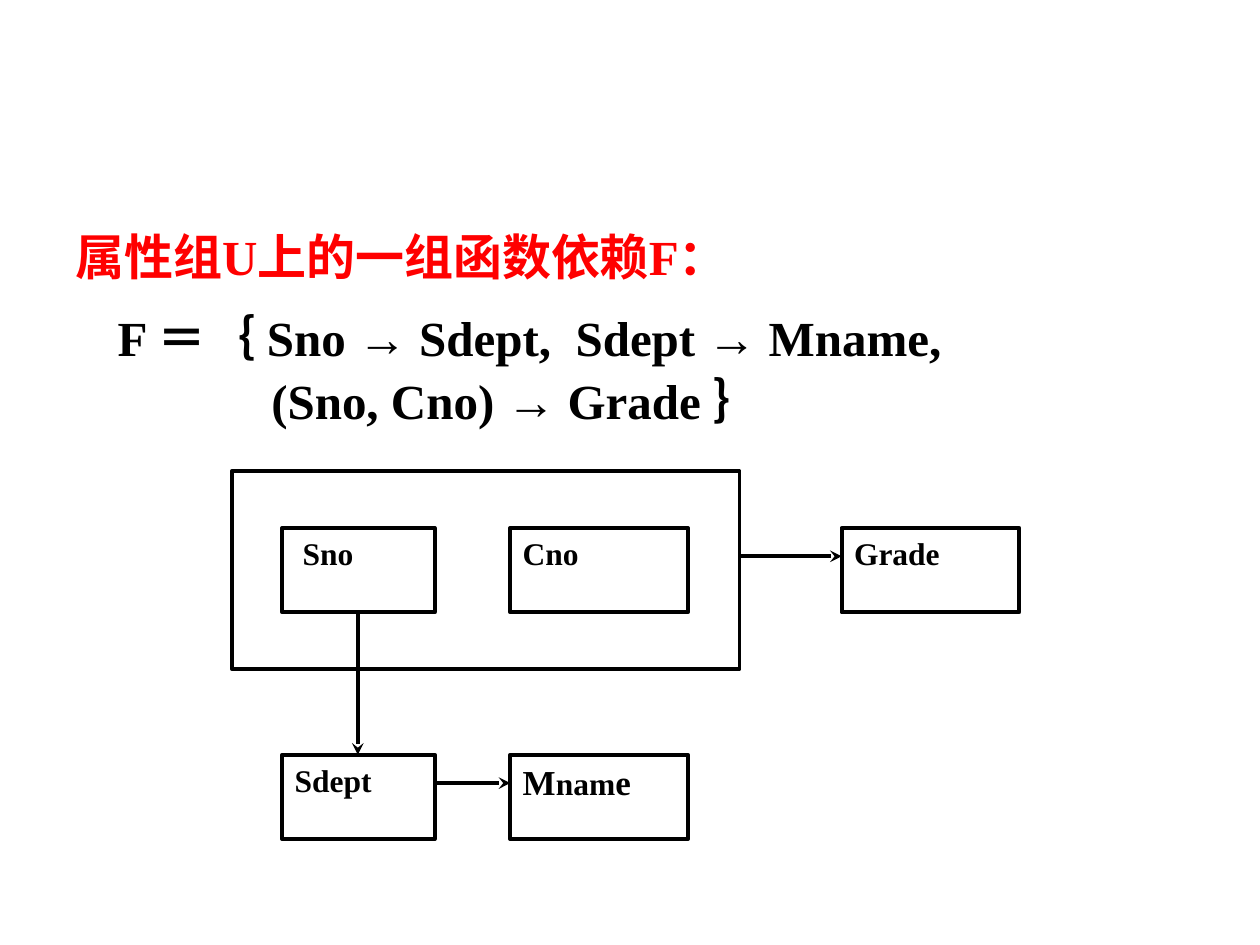
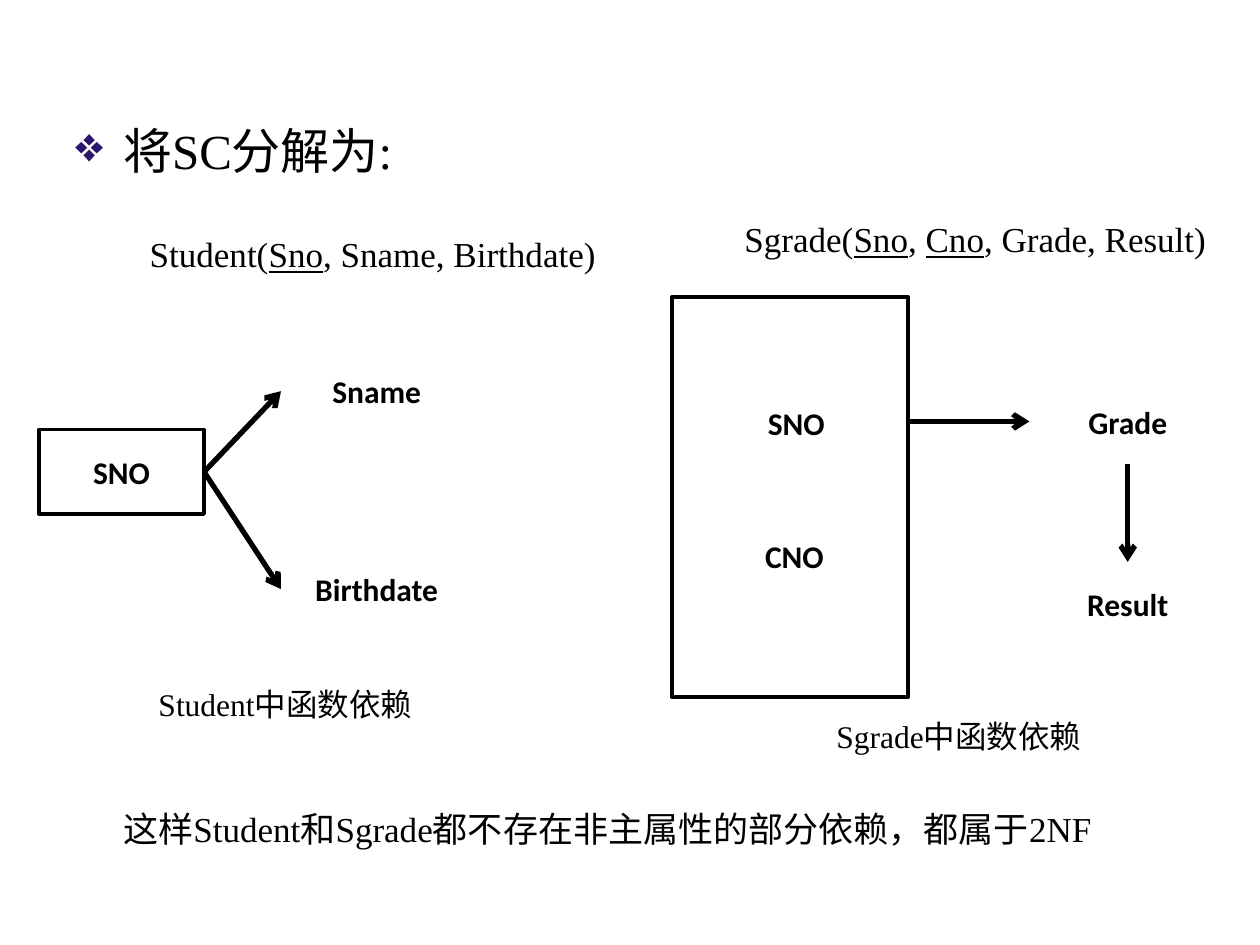
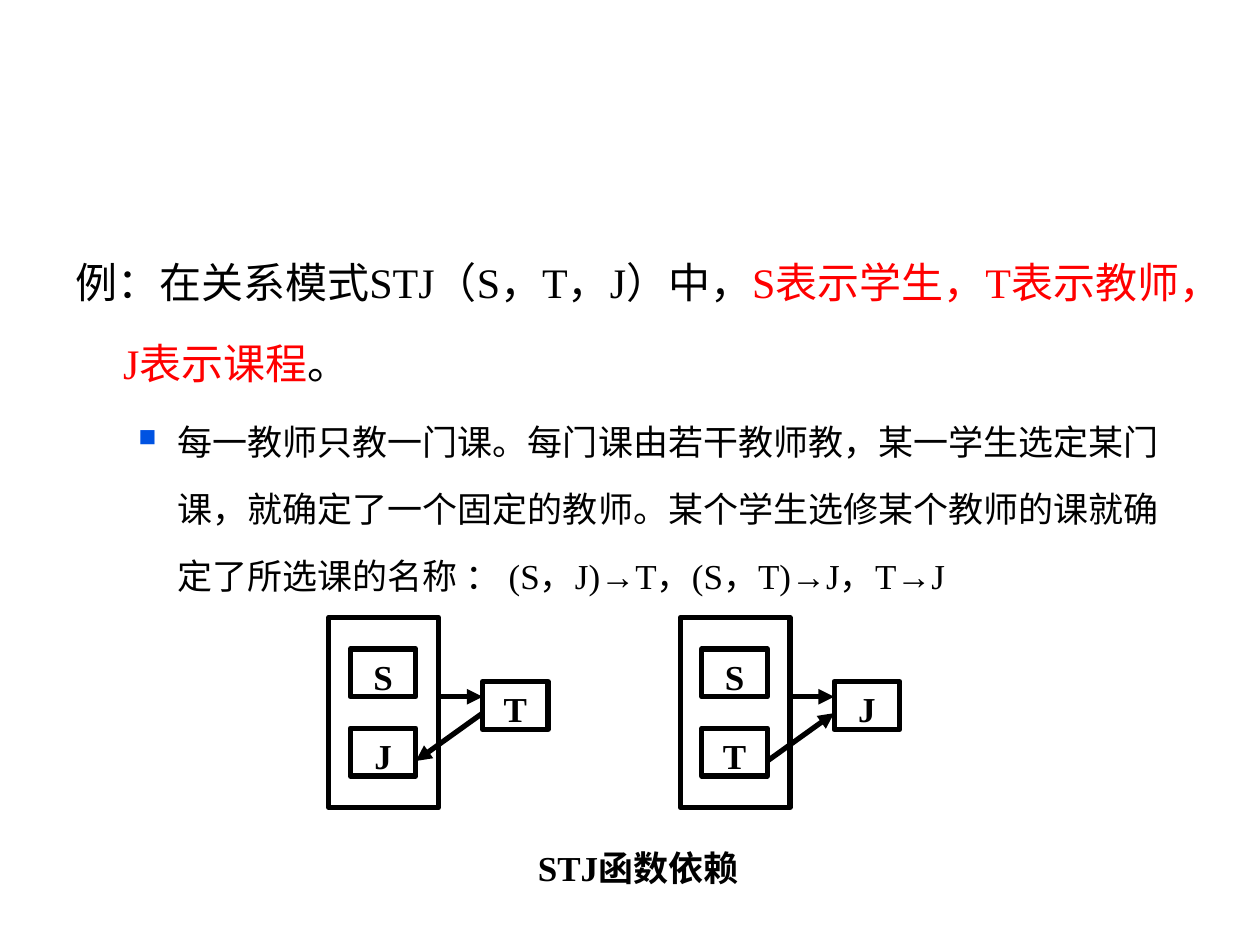
from dataclasses import dataclass

from lxml import etree
from pptx import Presentation
from pptx.dml.color import RGBColor
from pptx.enum.shapes import MSO_CONNECTOR as LINK, MSO_SHAPE as PRESET
from pptx.enum.text import MSO_ANCHOR as ANCHOR, PP_ALIGN as ALIGN
from pptx.oxml.ns import qn
from pptx.util import Inches, Pt

SLIDE_WIDTH, SLIDE_HEIGHT = Inches(10), Inches(7.5)
COLUMNS, ROWS = 100, 75
INK, ACCENT = "000000", "FF0000"
SERIF, SANS = "Times New Roman", "Calibri"
HANGING = (3.8, -3.8)


@dataclass
class Area:
    left: float
    top: float
    width: float
    height: float

    @property
    def right(self):
        return self.left + self.width

    @property
    def bottom(self):
        return self.top + self.height

    @property
    def middle(self):
        return self.top + self.height / 2


BODY = Area(5, 17.5, 90, 49.5)


def across(columns):
    return round(SLIDE_WIDTH * columns / COLUMNS)


def down(rows):
    return round(SLIDE_HEIGHT * rows / ROWS)


def position(area):
    return across(area.left), down(area.top), across(area.width), down(area.height)


def color(hex_code):
    return RGBColor.from_string(hex_code)


def add_bullet(paragraph, mark, hex_code, percent):
    properties = paragraph._p.get_or_add_pPr()
    tint = etree.SubElement(properties, qn("a:buClr"))
    etree.SubElement(tint, qn("a:srgbClr"), val=hex_code)
    etree.SubElement(properties, qn("a:buSzPct"), val=str(percent * 1000))
    etree.SubElement(properties, qn("a:buChar"), char=mark)


def write(frame, content, size=20, font=SERIF, bold=False, align=ALIGN.LEFT,
          indent=None, spacing=None, before=0, bullet=None, first=True):
    paragraph = frame.paragraphs[0] if first else frame.add_paragraph()
    paragraph.alignment = align
    if spacing:
        paragraph.line_spacing = spacing
    paragraph.space_before = Pt(before * size)
    if indent:
        properties = paragraph._p.get_or_add_pPr()
        properties.set("marL", str(across(indent[0])))
        properties.set("indent", str(across(indent[1])))
    if bullet:
        add_bullet(paragraph, *bullet)
    pieces = [(content, {})] if isinstance(content, str) else content
    for words, changes in pieces:
        run = paragraph.add_run()
        run.text = words
        run.font.name = font
        run.font.size = Pt(changes.get("size", size))
        run.font.bold = bold
        run.font.underline = changes.get("underline", False)
        run.font.color.rgb = color(changes.get("ink", INK))


def add_text(slide, area, paragraphs):
    frame = slide.shapes.add_textbox(*position(area)).text_frame
    frame.word_wrap = True
    for index, (content, style) in enumerate(paragraphs):
        write(frame, content, first=index == 0, **style)


def add_box(slide, area, content=None, weight=2.25, anchor=ANCHOR.TOP, **style):
    box = slide.shapes.add_shape(PRESET.RECTANGLE, *position(area))
    box.shadow.inherit = False
    box.fill.background()
    if weight:
        box.line.color.rgb = color(INK)
        box.line.width = Pt(weight)
    else:
        box.line.fill.background()
    if content:
        box.text_frame.word_wrap = True
        box.text_frame.vertical_anchor = anchor
        write(box.text_frame, content, **style)


def add_arrow(slide, start, end, weight, head):
    arrow = slide.shapes.add_connector(
        LINK.STRAIGHT, across(start[0]), down(start[1]), across(end[0]), down(end[1]))
    arrow.line.color.rgb = color(INK)
    arrow.line.width = Pt(weight)
    etree.SubElement(arrow.line._ln, qn("a:tailEnd"), type=head)
    etree.SubElement(arrow._element.spPr, qn("a:effectLst"))


def build_dependency_set(slide):
    add_text(slide, BODY, [
        ([("属性组U上的一组函数依赖F：", {"ink": ACCENT})],
         dict(size=28, bold=True, indent=HANGING, before=0.2)),
        ("F ＝｛ Sno → Sdept,  Sdept → Mname, ",
         dict(size=28, bold=True, indent=(3.35, 0), spacing=1.2, before=0.2)),
        ("(Sno, Cno) → Grade ｝",
         dict(size=28, bold=True, indent=(15.55, 0), before=0.1)),
    ])
    key = Area(18.4, 37.4, 40.3, 15.7)
    upper, lower, height = 41.9, 59.9, 6.7
    sno = Area(22.4, upper, 12.1, height)
    cno = Area(40.5, upper, 14.1, height)
    grade = Area(66.8, upper, 14.1, height)
    sdept = Area(sno.left, lower, sno.width, height)
    mname = Area(cno.left, lower, cno.width, height)
    add_box(slide, key)
    mixed_name = [("M", {"size": 20}), ("nam", {}), ("e", {"size": 20})]
    for area, name in ((sno, " Sno"), (cno, "Cno"), (grade, "Grade"),
                       (sdept, "Sdept"), (mname, mixed_name)):
        add_box(slide, area, name, size=18, bold=True, align=ALIGN.JUSTIFY)
    drop, offset = 28.4, 2.25
    for start, end in (
            ((drop, sno.bottom), (drop, sdept.top)),
            ((sdept.right, lower + offset), (mname.left, lower + offset)),
            ((key.right, upper + offset), (grade.left, upper + offset))):
        add_arrow(slide, start, end, 2.25, "stealth")


def build_decomposition(slide):
    underlined = {"underline": True}
    add_text(slide, Area(5, 9.1, 90, 9.8), [
        ("将SC分解为:", dict(size=28, indent=HANGING, before=0.2,
                         bullet=("❖", "2B166E", 100)))])
    student = [("Student(", {}), ("Sno", underlined), (", Sname, Birthdate)", {})]
    sgrade = [("Sgrade(", {}), ("Sno", underlined), (", ", {}),
              ("Cno", underlined), (", Grade, Result)", {})]
    for area, words, size in (
            (Area(10.9, 18, 37.6, 4.4), student, 20),
            (Area(58.1, 16.8, 38.9, 4.4), sgrade, 20),
            (Area(11.6, 53.9, 22.4, 4), "Student中函数依赖", 18),
            (Area(65.4, 56.4, 21.6, 4), "Sgrade中函数依赖", 18),
            (Area(8.8, 63.6, 79.4, 4.4),
             "这样Student和Sgrade都不存在非主属性的部分依赖，都属于2NF", 20)):
        add_text(slide, area, [(words, dict(size=size))])

    width, height = 15.2, 6.7
    sno = Area(3.1, 34.1, 13.1, height)
    sname = Area(22.3, 27.7, width, height)
    birthdate = Area(sname.left, 43.4, width, height)
    key = Area(53.3, 23.6, 18.8, 31.7)
    grade = Area(81.9, 30.1, width, height)
    result = Area(grade.left, 44.6, width, height)
    for area, name, weight in (
            (sno, "SNO", 2), (sname, "Sname", 0), (birthdate, "Birthdate", 0),
            (Area(55.6, 30.2, width, height), "SNO", 0),
            (Area(55.6, 40.6, 14.9, 7.1), "CNO", 0),
            (grade, "Grade", 0), (result, "Result", 0)):
        add_box(slide, area, name, weight=weight, anchor=ANCHOR.MIDDLE,
                size=18, font=SANS, bold=True, align=ALIGN.CENTER)
    add_box(slide, key)
    drop = 89.5
    for start, end in (
            ((sno.right, sno.middle), (sname.left, sname.middle)),
            ((sno.right, sno.middle), (birthdate.left, birthdate.middle)),
            ((key.right, grade.middle), (grade.left - 0.2, grade.middle)),
            ((drop, grade.bottom), (drop, result.top))):
        add_arrow(slide, start, end, 3, "arrow")


def add_determinant(slide, left, upper_name, lower_name, target_name, returns):
    top = 49
    group = Area(left, top, 8.7, 15.1)
    upper = Area(left + 1.7, top + 2.5, 5.2, 3.8)
    lower = Area(upper.left, top + 8.8, 5.2, 3.8)
    target = Area(left + 12.2, top + 5.1, 5.2, 3.8)
    add_box(slide, group, weight=3)
    for area, name in ((upper, upper_name), (lower, lower_name), (target, target_name)):
        add_box(slide, area, name, weight=3, bold=True, align=ALIGN.CENTER)
    add_arrow(slide, (group.right, upper.bottom), (target.left, upper.bottom), 3, "triangle")
    ends = [(lower.right, top + 11.4), (target.left, top + 7.6)]
    if returns:
        ends.reverse()
    add_arrow(slide, *ends, 3, "triangle")


def build_teaching_example(slide):
    add_text(slide, BODY, [
        ([("例：在关系模式STJ（S，T，J）中，", {}),
          ("S表示学生，T表示教师，J表示课程", {"ink": ACCENT}), ("。", {})],
         dict(size=24, indent=HANGING, spacing=1.6, before=0.2)),
        ("每一教师只教一门课。每门课由若干教师教，某一学生选定某门课，"
         "就确定了一个固定的教师。某个学生选修某个教师的课就确定了所选课的名称 ："
         " (S，J)→T，(S，T)→J，T→J",
         dict(indent=(8.1, -3.1), spacing=1.6, before=0.2,
              bullet=("■", "0053E2", 70))),
    ])
    add_determinant(slide, 26.1, "S", "J", "T", returns=True)
    add_determinant(slide, 54, "S", "T", "J", returns=False)
    add_text(slide, Area(40, 66.7, 21.3, 3.8), [
        ("STJ函数依赖", dict(bold=True, align=ALIGN.CENTER))])


def main():
    deck = Presentation()
    deck.slide_width, deck.slide_height = SLIDE_WIDTH, SLIDE_HEIGHT
    for build in (build_dependency_set, build_decomposition, build_teaching_example):
        build(deck.slides.add_slide(deck.slide_layouts[6]))
    deck.save("out.pptx")


main()
